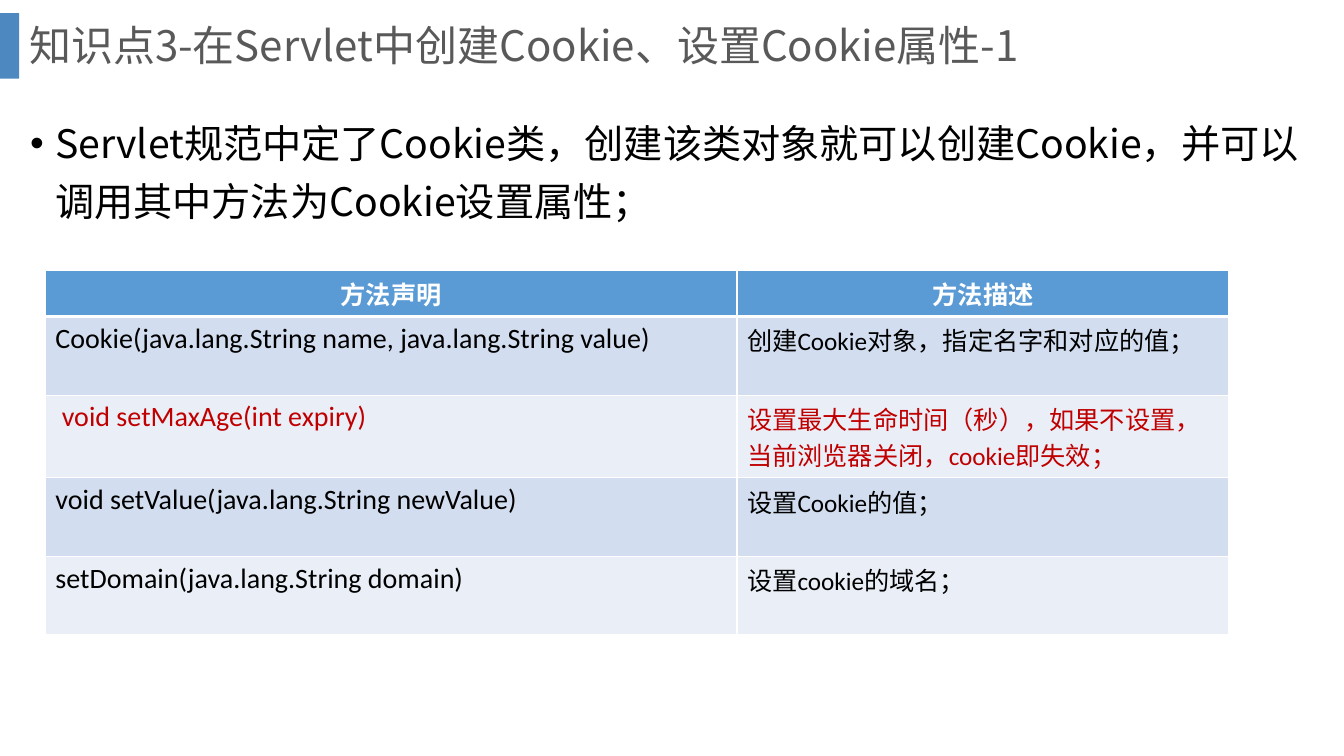
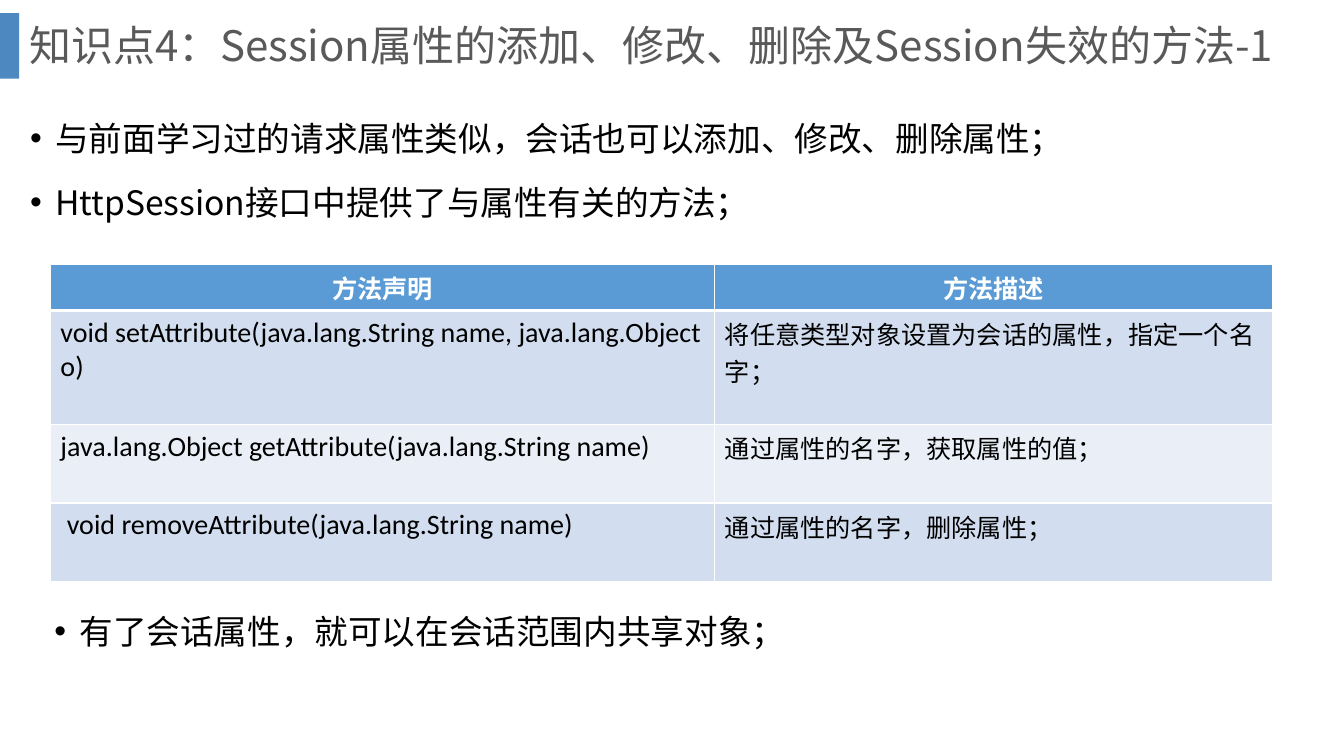
from pptx import Presentation
from pptx.dml.color import RGBColor
from pptx.enum.shapes import MSO_SHAPE
from pptx.enum.text import MSO_ANCHOR, PP_ALIGN
from pptx.oxml.ns import qn
from pptx.util import Pt
from lxml.etree import SubElement

PX = 9144  # 100 px to the inch
SLIDE_SIZE = (1333, 750)
CJK_FONT, TABLE_FONT = "Noto Sans CJK SC", "Calibri"

BAND_BLUE = RGBColor(0x2E, 0x75, 0xB6)
TITLE_GRAY = RGBColor(0x59, 0x59, 0x59)
HEADER_BLUE = RGBColor(0x5B, 0x9B, 0xD5)
ROW_FILLS = (RGBColor(0xD2, 0xDE, 0xEF), RGBColor(0xEA, 0xEF, 0xF7))
WHITE = RGBColor(0xFF, 0xFF, 0xFF)
BLACK = RGBColor(0, 0, 0)
RED = RGBColor(0xC0, 0, 0)

# Content
TABLE_HEADER = ("方法声明", "方法描述")
HEADER_HEIGHT = 46
SLIDES = [
    {
        "title": "知识点3-在Servlet中创建Cookie、设置Cookie属性-1",
        "bullets": [
            ((20, 98, 1290, 185), 28,
             ["Servlet规范中定了Cookie类，创建该类对象就可以创建Cookie，并可以调用其中方法为Cookie设置属性；"]),
        ],
        "table_at": (45, 268),
        "columns": (686, 488),
        # declaration, description, row height, text colour
        "methods": [
            ("Cookie(java.lang.String name, java.lang.String value)",
             "创建Cookie对象，指定名字和对应的值；", 78, BLACK),
            (" void setMaxAge(int expiry)",
             "设置最大生命时间（秒），如果不设置，当前浏览器关闭，cookie即失效；", 82, RED),
            ("void setValue(java.lang.String newValue)", "设置Cookie的值；", 78, BLACK),
            ("setDomain(java.lang.String domain)", "设置cookie的域名；", 78, BLACK),
        ],
    },
    {
        "title": "知识点4：Session属性的添加、修改、删除及Session失效的方法-1",
        "bullets": [
            ((20, 98, 1290, 163), 24,
             ["与前面学习过的请求属性类似，会话也可以添加、修改、删除属性；",
              "HttpSession接口中提供了与属性有关的方法；"]),
            ((44, 587, 1290, 163), 24, ["有了会话属性，就可以在会话范围内共享对象；"]),
        ],
        "table_at": (50, 262),
        "columns": (659, 553),
        "methods": [
            ("void setAttribute(java.lang.String name, java.lang.Object o)",
             "将任意类型对象设置为会话的属性，指定一个名字；", 113, BLACK),
            ("java.lang.Object getAttribute(java.lang.String name)",
             "通过属性的名字，获取属性的值；", 78, BLACK),
            (" void removeAttribute(java.lang.String name)",
             "通过属性的名字，删除属性；", 78, BLACK),
        ],
    },
]


def emu(lengths):
    return [length * PX for length in lengths]


def add_text(paragraph, text, size, color, font=CJK_FONT, bold=False):
    run = paragraph.add_run()
    run.text = text
    run.font.size, run.font.bold, run.font.name = Pt(size), bold, font
    run.font.color.rgb = color
    SubElement(run.font._element, qn("a:ea"), typeface=CJK_FONT)


def add_box(slide, at, top_margin, bottom_margin):
    frame = slide.shapes.add_textbox(*emu(at)).text_frame
    frame.word_wrap = True
    frame.margin_top, frame.margin_bottom = emu((top_margin, bottom_margin))
    return frame


def add_title(slide, title):
    band = slide.shapes.add_shape(MSO_SHAPE.RECTANGLE, *emu((0, 13, 19, 65)))
    band.shadow.inherit = False
    band.line.fill.background()
    band.fill.solid()
    band.fill.fore_color.rgb = BAND_BLUE
    tint = band.fill._xPr.find(qn("a:solidFill"))[0]
    SubElement(tint, qn("a:alpha"), val="85000")

    frame = add_box(slide, (19, 0, 1266, 93), 6, 0)
    frame.vertical_anchor = MSO_ANCHOR.MIDDLE
    frame.paragraphs[0].line_spacing = 0.76
    add_text(frame.paragraphs[0], title, 30, TITLE_GRAY)


def add_bullets(slide, at, size, lines):
    frame = add_box(slide, at, 9, 5)
    for index, line in enumerate(lines):
        paragraph = frame.add_paragraph() if index else frame.paragraphs[0]
        paragraph.line_spacing = 1.24
        if index:
            paragraph.space_before = Pt(10)
        props = paragraph._p.get_or_add_pPr()
        props.set("marL", str(25 * PX))
        props.set("indent", str(-25 * PX))
        SubElement(props, qn("a:buFont"), typeface="Arial")
        SubElement(props, qn("a:buChar"), char="•")
        add_text(paragraph, line, size, BLACK)


def style_cell(cell, fill, bottom_width):
    # Borders come before the fill in the cell properties
    props = cell._tc.get_or_add_tcPr()
    for side, width in (("L", 1), ("R", 1), ("T", 1), ("B", bottom_width)):
        edge = SubElement(props, qn(f"a:ln{side}"), w=str(Pt(width)))
        SubElement(SubElement(edge, qn("a:solidFill")), qn("a:srgbClr"), val=str(WHITE))
    cell.fill.solid()
    cell.fill.fore_color.rgb = fill


def add_method_table(slide, at, columns, methods):
    heights = [HEADER_HEIGHT] + [method[2] for method in methods]
    table = slide.shapes.add_table(
        len(heights), len(columns), *emu((*at, sum(columns), sum(heights)))).table
    for column, width in zip(table.columns, emu(columns)):
        column.width = width
    for row, height in zip(table.rows, emu(heights)):
        row.height = height

    for cell, label in zip(table.rows[0].cells, TABLE_HEADER):
        style_cell(cell, HEADER_BLUE, 3)
        heading = cell.text_frame.paragraphs[0]
        heading.alignment = PP_ALIGN.CENTER
        add_text(heading, label, 18, WHITE, TABLE_FONT, True)

    for index, (declaration, description, _, color) in enumerate(methods):
        cells = table.rows[index + 1].cells
        for cell, text, size in zip(cells, (declaration, description), (20, 18)):
            style_cell(cell, ROW_FILLS[index % 2], 1)
            add_text(cell.text_frame.paragraphs[0], text, size, color, TABLE_FONT)


def main():
    deck = Presentation()
    deck.slide_width, deck.slide_height = emu(SLIDE_SIZE)
    for content in SLIDES:
        slide = deck.slides.add_slide(deck.slide_layouts[6])
        add_title(slide, content["title"])
        for at, size, lines in content["bullets"]:
            add_bullets(slide, at, size, lines)
        add_method_table(slide, content["table_at"], content["columns"], content["methods"])
    deck.save("out.pptx")


if __name__ == "__main__":
    main()
